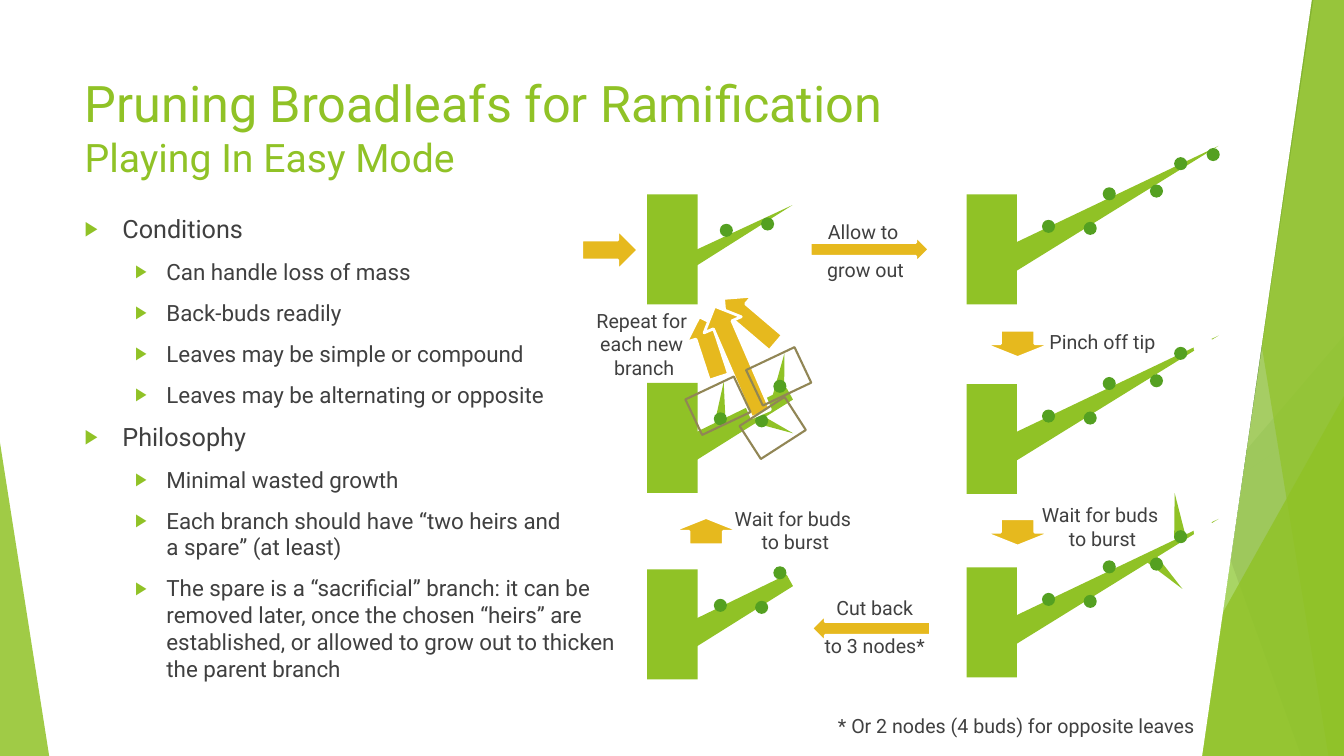
import dataclasses

import lxml.etree
import pptx
import pptx.dml.color
import pptx.enum.dml
import pptx.enum.shapes
import pptx.enum.text
import pptx.oxml.ns
import pptx.util

Cm, Pt = pptx.util.Cm, pptx.util.Pt
SHAPE = pptx.enum.shapes.MSO_SHAPE
ALIGN = pptx.enum.text.PP_ALIGN
ANCHOR = pptx.enum.text.MSO_ANCHOR
qn = pptx.oxml.ns.qn
WIDTH, HEIGHT = 33.87, 19.05


@dataclasses.dataclass(frozen=True)
class Theme:
    font: str = "Roboto"
    leaf: str = "90C226"
    bud: str = "54A021"
    dark: str = "3F7819"
    light: str = "C0E474"
    arrow: str = "E6B91E"
    frame: str = "918655"
    white: str = "FFFFFF"
    text: str = "404040"
    title_size: int = 36
    subtitle_size: int = 28
    list_sizes: tuple = (18, 16)
    label_size: int = 14
    gap: int = 10


def rgb(color):
    return pptx.dml.color.RGBColor.from_string(color)


class SlideBuilder:
    def __init__(self, s, theme):
        self.s, self.theme = s, theme
        self.shapes = s.shapes

    def paint(self, sp, fill=None, alpha=100, line=None, width=1.0):
        sp.shadow.inherit = False
        if fill:
            sp.fill.solid()
            sp.fill.fore_color.rgb = rgb(fill)
            if alpha < 100:
                clr = sp._element.spPr.find(qn("a:solidFill"))[0]
                lxml.etree.SubElement(clr, qn("a:alpha"), val=str(alpha * 1000))
        else:
            sp.fill.background()
        if line:
            sp.line.color.rgb = rgb(line)
            sp.line.width = Pt(width)
        else:
            sp.line.fill.background()

    def shape(self, kind, box, rot=0, adj=None, **style):
        sp = self.shapes.add_shape(kind, *map(Cm, box))
        sp.rotation = rot
        if adj is not None:
            sp.adjustments[0] = adj
        self.paint(sp, **style)

    def line(self, start, end, color):
        kind = pptx.enum.shapes.MSO_CONNECTOR.STRAIGHT
        sp = self.shapes.add_connector(kind, *map(Cm, start + end))
        sp.line.color.rgb = rgb(color)
        sp.line.width = Pt(0.75)
        lxml.etree.SubElement(sp._element.spPr, qn("a:effectLst"))

    def band(self, top_x, bottom_x, fill, alpha):
        """Slanted panel that reaches the right slide edge."""
        fb = self.shapes.build_freeform(Cm(top_x), 0)
        corners = [(WIDTH, 0), (WIDTH, HEIGHT), (bottom_x, HEIGHT)]
        fb.add_line_segments([(Cm(x), Cm(y)) for x, y in corners])
        self.paint(fb.convert_to_shape(), fill, alpha)

    def add_text(self, p, text, size, color):
        for i, part in enumerate(text.split("\n")):
            if i:
                p.add_line_break()
            r = p.add_run()
            r.text = part
            r.font.name = self.theme.font
            r.font.size = Pt(size)
            r.font.color.rgb = rgb(color)

    def placeholder(self, index, box):
        sp = self.s.placeholders[index]
        sp.left, sp.top, sp.width, sp.height = map(Cm, box)
        self.s.shapes._spTree.append(sp._element)  # in front of the backdrop
        tf = sp.text_frame
        tf.word_wrap = True
        tf.auto_size = pptx.enum.text.MSO_AUTO_SIZE.NONE
        tf.vertical_anchor = ANCHOR.TOP
        return tf

    def title(self, box, text, subtitle):
        t = self.theme
        p = self.placeholder(0, box).paragraphs[0]
        p.alignment = ALIGN.LEFT
        self.add_text(p, text, t.title_size, t.leaf)
        p.add_line_break()
        self.add_text(p, subtitle, t.subtitle_size, t.leaf)

    def bullets(self, box, items):
        t = self.theme
        tf = self.placeholder(1, box)
        for i, (level, text) in enumerate(items):
            p = tf.add_paragraph() if i else tf.paragraphs[0]
            p.level = level
            p.space_before = Pt(t.gap)
            pPr = p._p.get_or_add_pPr()
            margin, hang = [(0.95, 0.95), (2.06, 0.79)][level]
            pPr.set("marL", str(Cm(margin)))
            pPr.set("indent", str(-Cm(hang)))
            clr = lxml.etree.SubElement(pPr, qn("a:buClr"))
            lxml.etree.SubElement(clr, qn("a:srgbClr"), val=t.leaf)
            lxml.etree.SubElement(pPr, qn("a:buSzPct"), val="80000")
            lxml.etree.SubElement(pPr, qn("a:buFont"), typeface="Arial")
            lxml.etree.SubElement(pPr, qn("a:buChar"), char="▶")
            self.add_text(p, text, t.list_sizes[level], t.text)

    def label(self, left, top, *lines, width=4.47, height=2.57):
        t = self.theme
        tf = self.shapes.add_textbox(*map(Cm, (left, top, width, height))).text_frame
        tf.word_wrap = True
        tf.vertical_anchor = ANCHOR.MIDDLE
        for i, text in enumerate(lines):
            p = tf.add_paragraph() if i else tf.paragraphs[0]
            p.alignment = ALIGN.CENTER
            p.space_before = Pt(t.gap)
            self.add_text(p, text, t.label_size, t.text)

    def arrow(self, box, rot=0):
        t = self.theme
        self.shape(SHAPE.RIGHT_ARROW, box, rot, fill=t.arrow, line=t.white, width=2)

    def stage(self, x, y, branch, buds, sprouts=(), tip_cut=False):
        """Trunk with one branch; parts are placed relative to the trunk's corner."""
        t = self.theme
        kind, (dx, dy, w, h), rot = branch
        self.shapes = self.s.shapes.add_group_shape().shapes
        self.shape(SHAPE.RECTANGLE, (x, y, 1.27, 2.77), fill=t.leaf)
        self.shape(kind, (x + dx, y + dy, w, h), rot, fill=t.leaf)
        if tip_cut:
            self.shape(SHAPE.OVAL, (x + 5.72, y - 1.22, 0.53, 0.56), fill=t.white)
        for dx, dy, rot in sprouts:
            self.shape(SHAPE.ISOSCELES_TRIANGLE, (x + dx, y + dy, 0.3, 1.14), rot, fill=t.leaf)
        for dx, dy in buds:
            self.shape(SHAPE.OVAL, (x + dx, y + dy, 0.33, 0.33), fill=t.bud)
        self.shapes = self.s.shapes


def main():
    prs = pptx.Presentation()
    prs.slide_width, prs.slide_height = Cm(WIDTH), Cm(HEIGHT)
    t = Theme()
    b = SlideBuilder(prs.slides.add_slide(prs.slide_layouts[1]), t)

    # Backdrop
    triangle = SHAPE.ISOSCELES_TRIANGLE
    b.line((26.04, 0), (29.41, HEIGHT), "BFBFBF")
    b.line((WIDTH, 10.24), (20.62, HEIGHT), "D9D9D9")
    b.band(31.19, 25.5, t.leaf, 30)
    b.band(26.67, 30.05, t.leaf, 20)
    b.shape(triangle, (24.82, 8.46, 9.05, 10.59), adj=1, fill=t.bud, alpha=72)
    b.band(25.93, 32.79, t.dark, 70)
    b.band(33.1, 30.28, t.light, 70)
    b.band(30.38, 33.48, t.leaf, 65)
    b.shape(triangle, (28.8, 9.98, 5.07, 9.07), adj=1, fill=t.leaf, alpha=80)
    b.shape(triangle, (0, 11.15, 1.24, 7.9), adj=0, fill=t.leaf, alpha=85)
    b.shape(SHAPE.PARALLELOGRAM, (18.97, -0.05, 14.07, 19.1), adj=0.197,
            fill=t.white, line=t.white, width=1.5)

    # Title and list
    b.title((1.88, 1.7, 28.07, 3.2), "Pruning Broadleafs for Ramification", "Playing In Easy Mode")
    b.bullets((1.88, 5.26, 28.07, 12.8), [
        (0, "Conditions"),
        (1, "Can handle loss of mass"),
        (1, "Back-buds readily"),
        (1, "Leaves may be simple or compound"),
        (1, "Leaves may be alternating or opposite"),
        (0, "Philosophy"),
        (1, "Minimal wasted growth"),
        (1, "Each branch should have “two heirs and\na spare” (at least)"),
        (1, "The spare is a “sacrificial” branch: it can be \nremoved later, once the chosen "
            "“heirs” are \nestablished, or allowed to grow out to thicken\nthe parent branch"),
    ])

    # Growth stages
    left, right = 16.31, 24.36
    young = (triangle, (2.06, -0.56, 0.41, 3.18), 61.4)
    grown = (triangle, (3.23, -2.87, 0.69, 6.32), 61.4)
    stub = (SHAPE.TRAPEZOID, (1.93, -0.51, 0.66, 3.05), 61)
    grown_buds = [(1.9, 0.64), (2.95, 0.69), (3.43, -0.18),
                  (4.62, -0.25), (5.23, -0.94), (6.05, -1.17)]
    stub_buds = [(1.68, 0.74), (2.72, 0.79), (3.18, -0.08)]
    b.stage(left, 4.9, young, [(1.83, 0.74), (2.87, 0.58)])
    b.stage(right, 4.9, grown, grown_buds)
    b.stage(right, 9.68, grown, grown_buds[:-1], tip_cut=True)
    b.stage(right, 14.3, grown, grown_buds[:-1], tip_cut=True,
            sprouts=[(4.88, -0.43, 134.5), (5.16, -1.88, 353.1)])
    b.stage(left, 14.35, stub, stub_buds)
    b.stage(left, 9.65, stub, stub_buds,
            sprouts=[(1.73, -0.03, 4.9), (3, 0.48, 112.5), (3.23, -0.76, 8.1)])

    # Arrows between stages
    b.arrow((14.66, 5.79, 1.42, 1.02))
    b.arrow((20.42, 5.94, 3, 0.69))
    b.arrow((20.45, 15.49, 3, 0.69), 180)
    for x, y, rot in [(25.3, 7.8, 90), (25.3, 12.55, 90), (17.45, 12.52, 270)]:
        b.arrow((x, y, 0.69, 1.73), rot)

    # Repeat arrows and the new branches they start from
    b.arrow((17.07, 8.23, 1.6, 1.02), 251.9)
    b.arrow((18.03, 7.57, 1.73, 1.02), 220.4)
    b.arrow((17.12, 8.56, 2.95, 1.02), 246.6)
    for x, y, rot in [(18.95, 8.99, 334.7), (17.42, 9.73, 334.7), (18.8, 10.29, 327.2)]:
        b.shape(SHAPE.RECTANGLE, (x, y, 1.35, 0.99), rot, line=t.frame, width=1.5)

    # Labels
    b.label(19.58, 5.03, "Allow to ", "grow out")
    b.label(25.55, 7.32, "Pinch off tip")
    b.label(25.55, 11.99, "Wait for buds \nto burst")
    b.label(19.81, 14.5, "Cut back", "to 3 nodes*")
    b.label(17.81, 12.07, "Wait for buds \nto burst")
    b.label(14, 7.54, "Repeat for \neach new \nbranch", height=2.26)
    b.label(20.42, 17.55, "* Or 2 nodes (4 buds) for opposite leaves", width=10.39, height=1.47)

    prs.save("out.pptx")


if __name__ == "__main__":
    main()
